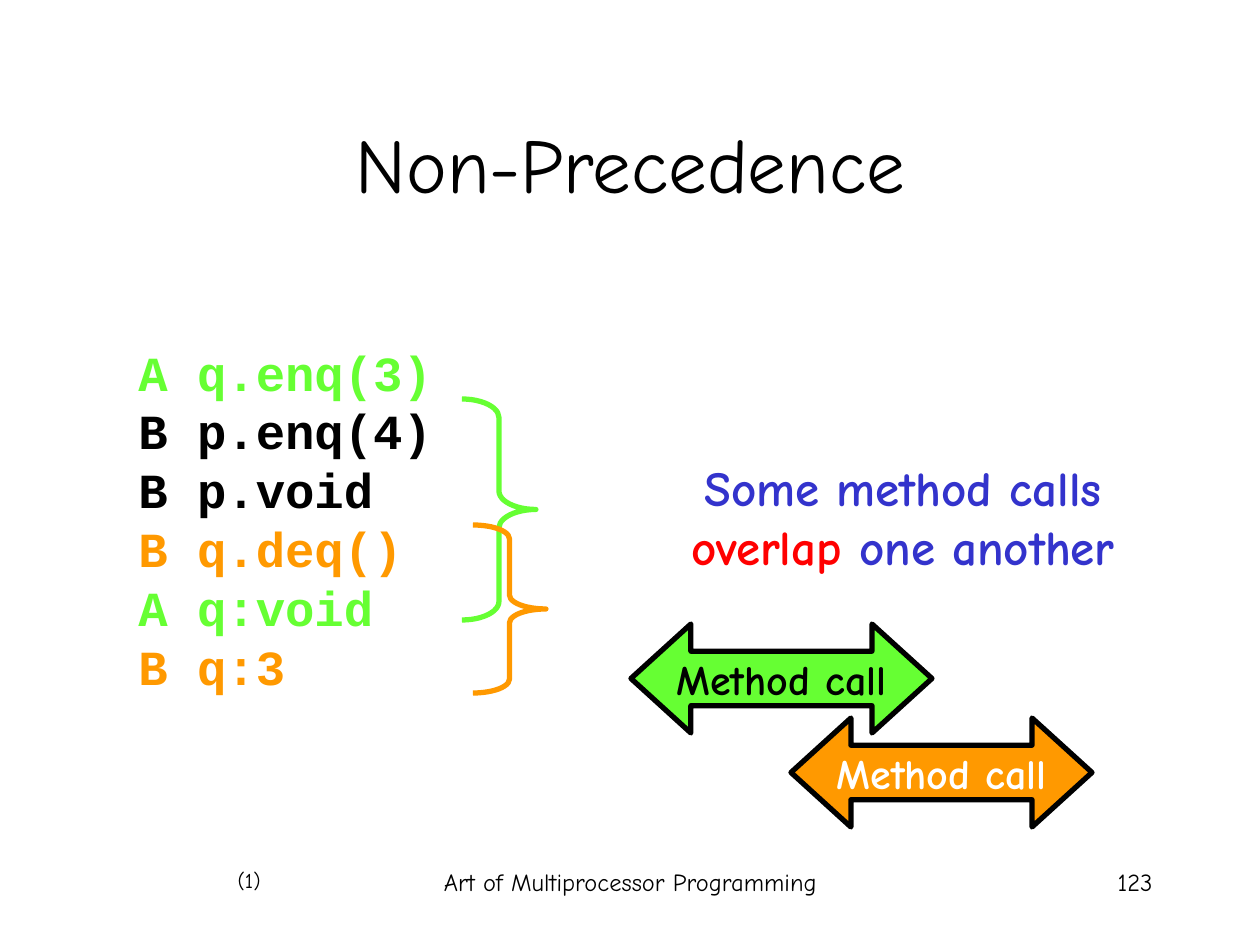
from pptx import Presentation
from pptx.dml.color import RGBColor
from pptx.enum.shapes import MSO_SHAPE
from pptx.enum.text import MSO_ANCHOR, PP_ALIGN
from pptx.util import Emu, Pt

PX_PER_INCH = 126
BLACK = RGBColor(0x00, 0x00, 0x00)
WHITE = RGBColor(0xFF, 0xFF, 0xFF)
GREEN = RGBColor(0x66, 0xFF, 0x33)
ORANGE = RGBColor(0xFF, 0x99, 0x00)
BLUE = RGBColor(0x33, 0x33, 0xCC)
RED = RGBColor(0xFF, 0x00, 0x00)
BODY_FONT = "Comic Neue"
CODE_FONT = "Courier New"

HISTORY = [
    ("A q.enq(3)", GREEN),
    ("B p.enq(4)", BLACK),
    ("B p.void", BLACK),
    ("B q.deq()", ORANGE),
    ("A q:void", GREEN),
    ("B q:3", ORANGE),
]


def px(*lengths):
    return [Emu(round(n * 914400 / PX_PER_INCH)) for n in lengths]


def write(sp, paragraphs, size, font=BODY_FONT, bold=False,
          align=PP_ALIGN.LEFT, anchor=MSO_ANCHOR.TOP, wrap=True):
    """Fill a shape with paragraphs, each a list of (text, colour) runs."""
    tf = sp.text_frame
    tf.word_wrap = wrap
    tf.vertical_anchor = anchor
    for i, runs in enumerate(paragraphs):
        p = tf.add_paragraph() if i else tf.paragraphs[0]
        p.alignment = align
        for text, color in runs:
            r = p.add_run()
            r.text = text
            r.font.name = font
            r.font.size = Pt(size)
            r.font.bold = bold
            r.font.color.rgb = color


def add_text(s, box, paragraphs, size, **fmt):
    write(s.shapes.add_textbox(*px(*box)), paragraphs, size, **fmt)


def add_outlined(s, kind, box, line, adjustments):
    sp = s.shapes.add_shape(kind, *px(*box))
    sp.shadow.inherit = False
    sp.line.color.rgb = line
    sp.line.width = Pt(3)
    for i, value in enumerate(adjustments):
        sp.adjustments[i] = value
    return sp


def add_brace(s, box, color, curve):
    add_outlined(s, MSO_SHAPE.RIGHT_BRACE, box, color, (curve, 0.5)).fill.background()


def add_call_arrow(s, left, top, fill, color):
    sp = add_outlined(s, MSO_SHAPE.LEFT_RIGHT_ARROW, (left, top, 301, 109),
                      BLACK, (0.5, 0.55))
    sp.fill.solid()
    sp.fill.fore_color.rgb = fill
    write(sp, [[("Method call", color)]], 24, bold=True,
          align=PP_ALIGN.CENTER, anchor=MSO_ANCHOR.MIDDLE, wrap=False)


def add_title(s, text):
    title = s.shapes.title
    title.left, title.top, title.width, title.height = px(95, 84, 1071, 158)
    write(title, [[(text, BLACK)]], 44, align=PP_ALIGN.CENTER,
          anchor=MSO_ANCHOR.MIDDLE)


def main():
    prs = Presentation()
    prs.slide_width, prs.slide_height = px(1260, 945)
    s = prs.slides.add_slide(prs.slide_layouts[5])

    add_title(s, "Non-Precedence")
    add_text(s, (126, 336, 384, 365), [[line] for line in HISTORY], 28,
             font=CODE_FONT, bold=True)
    add_brace(s, (462, 399, 74, 221), GREEN, 0.25)
    add_text(s, (651, 451, 504, 131),
             [[("Some method calls ", BLUE), ("overlap", RED), (" one another", BLUE)]],
             28, bold=True, align=PP_ALIGN.CENTER)
    add_brace(s, (473, 525, 73, 168), ORANGE, 0.19)
    add_call_arrow(s, 631, 624, GREEN, BLACK)
    add_call_arrow(s, 791, 718, ORANGE, WHITE)

    add_text(s, (431, 861, 399, 63), [[("Art of Multiprocessor Programming", BLACK)]],
             14, align=PP_ALIGN.CENTER)
    add_text(s, (903, 861, 262, 63), [[("123", BLACK)]], 14, align=PP_ALIGN.RIGHT)
    add_text(s, (225, 861, 48, 38), [[("(1)", BLACK)]], 12,
             align=PP_ALIGN.RIGHT, wrap=False)

    prs.save("out.pptx")


if __name__ == "__main__":
    main()
